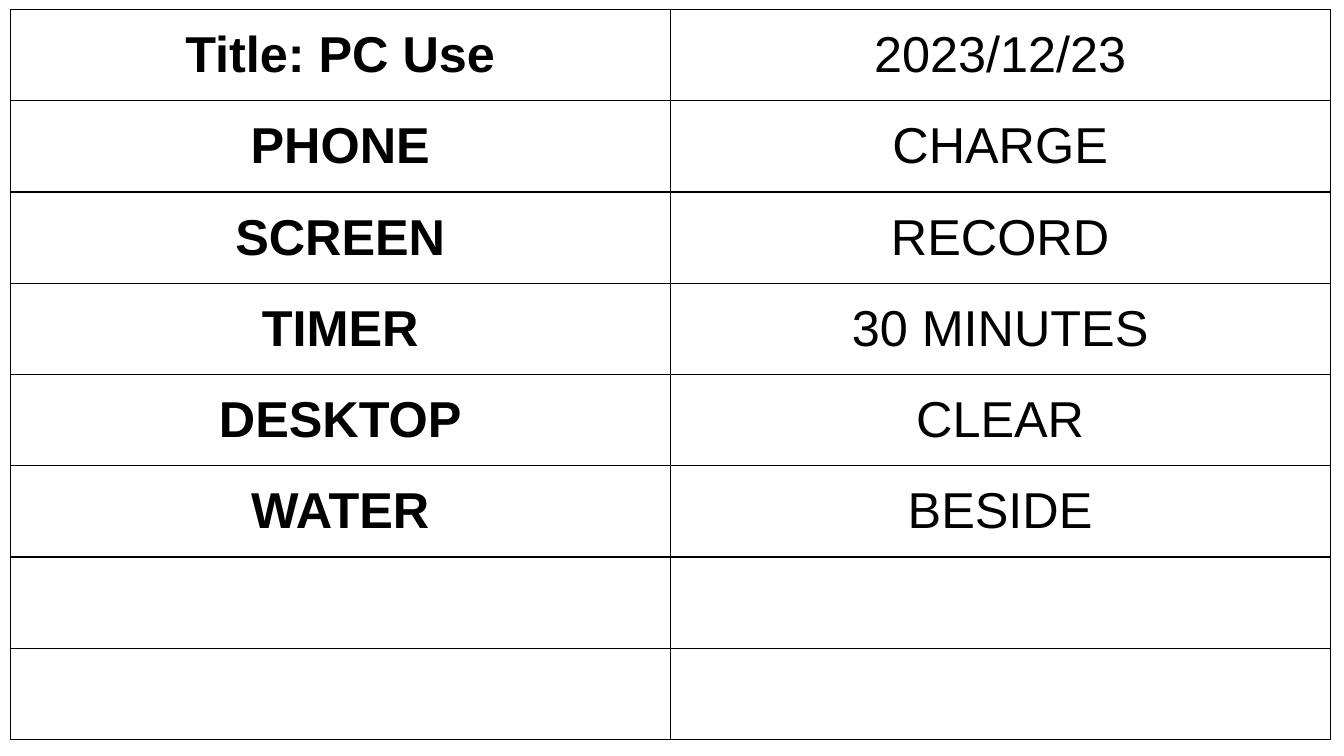
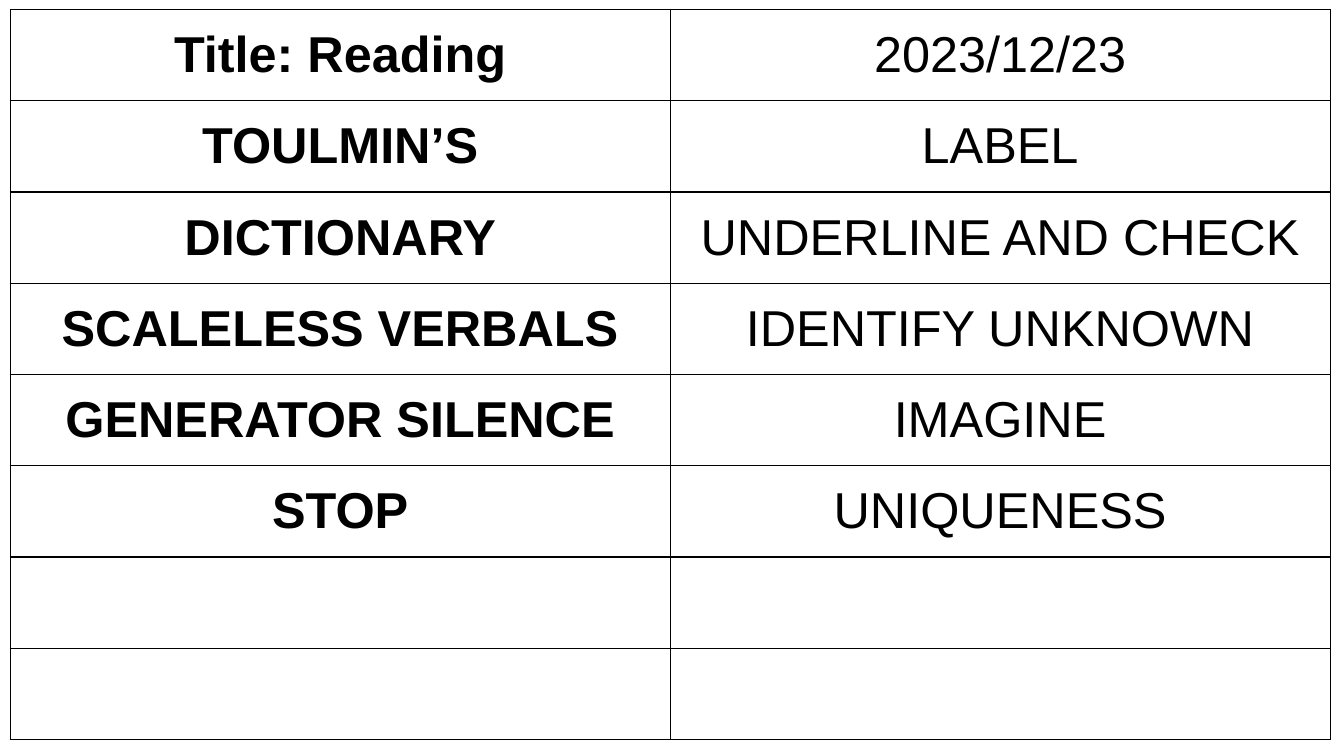
from lxml import etree
from pptx import Presentation
from pptx import util as u
from pptx.dml.color import RGBColor
from pptx.enum import text
from pptx.oxml import ns

FONT = "Arial"
BLACK = "000000"
ROWS = 8
BOX = (0.26, 0.24, 33.26, 18.4)  # left, top, width, height in cm

DATE = "2023/12/23"
CHECKLISTS = [
    [
        ("Title: PC Use", DATE),
        ("PHONE", "CHARGE"),
        ("SCREEN", "RECORD"),
        ("TIMER", "30 MINUTES"),
        ("DESKTOP", "CLEAR"),
        ("WATER", "BESIDE"),
    ],
    [
        ("Title: Reading", DATE),
        ("TOULMIN’S", "LABEL"),
        ("DICTIONARY", "UNDERLINE AND CHECK"),
        ("SCALELESS VERBALS", "IDENTIFY UNKNOWN"),
        ("GENERATOR SILENCE", "IMAGINE"),
        ("STOP", "UNIQUENESS"),
    ],
]


def rgb(value):
    """Return the colour for a hex string."""
    return RGBColor.from_string(value)


def write(tf, words, size=36, bold=False, color=BLACK, align=text.PP_ALIGN.CENTER):
    """Write one formatted paragraph into a text frame."""
    p = tf.paragraphs[0]
    p.alignment = align
    r = p.add_run()
    r.text = words
    r.font.name = FONT
    r.font.size = u.Pt(size)
    r.font.bold = bold
    r.font.color.rgb = rgb(color)


def set_borders(cell, color=BLACK, width=1):
    """Draw a solid line on all four sides of a cell."""
    props = cell._tc.get_or_add_tcPr()
    for i, side in enumerate(("lnL", "lnR", "lnT", "lnB")):
        line = etree.Element(ns.qn("a:" + side), w=str(u.Pt(width)))
        fill = etree.SubElement(line, ns.qn("a:solidFill"))
        etree.SubElement(fill, ns.qn("a:srgbClr"), val=color)
        props.insert(i, line)


def add_checklist(s, box, entries):
    """Fill the box with a two-column table: bold item, plain action."""
    left, top, width, height = map(u.Cm, box)
    table = s.shapes.add_table(ROWS, 2, left, top, width, height).table
    table.first_row = table.horz_banding = False
    for cell in table.iter_cells():
        cell.fill.background()
        cell.vertical_anchor = text.MSO_ANCHOR.MIDDLE
        set_borders(cell)
    for row, entry in enumerate(entries):
        for col, words in enumerate(entry):
            write(table.cell(row, col).text_frame, words, bold=col == 0)


def main():
    """Build one slide for each checklist."""
    prs = Presentation()
    prs.slide_width, prs.slide_height = u.Cm(33.87), u.Cm(19.05)
    blank = prs.slide_layouts.get_by_name("Blank")
    for entries in CHECKLISTS:
        add_checklist(prs.slides.add_slide(blank), BOX, entries)
    prs.save("out.pptx")


main()
